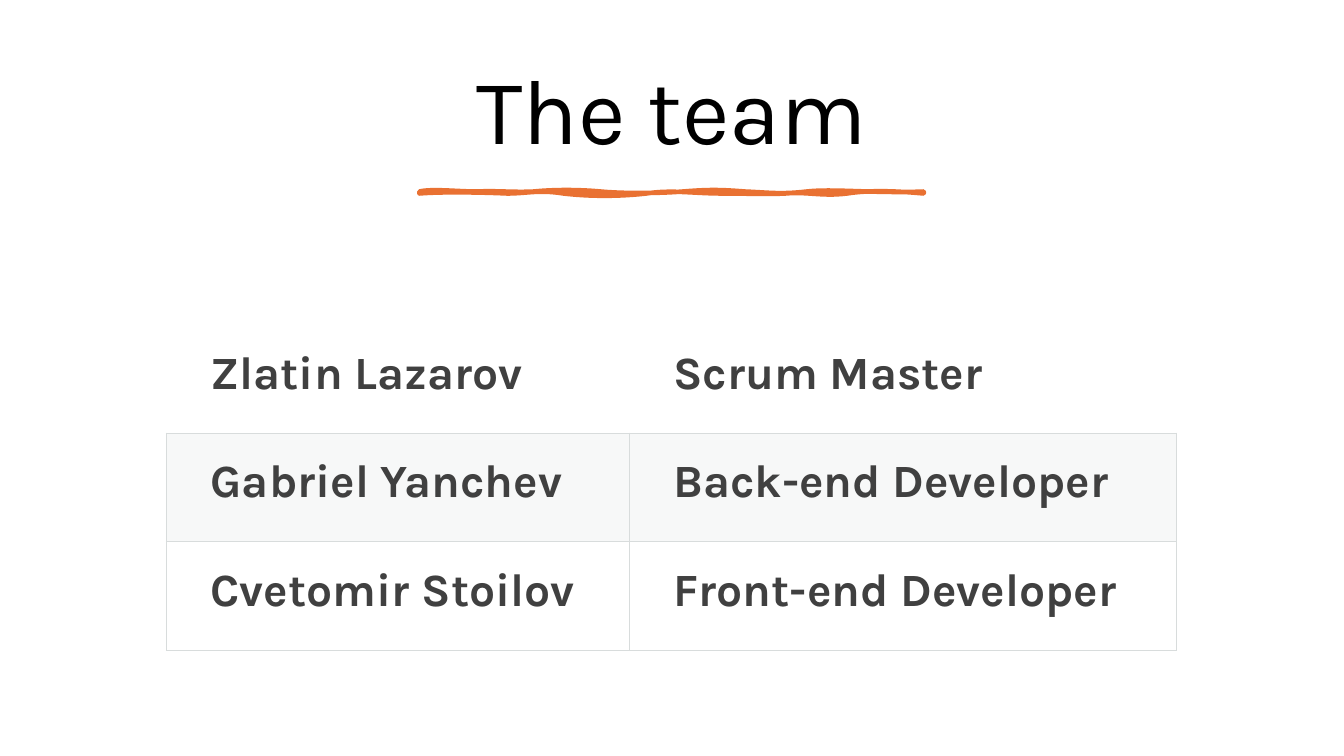
from lxml import etree
from pptx import Presentation
from pptx.dml.color import RGBColor
from pptx.enum.text import MSO_ANCHOR, PP_ALIGN
from pptx.oxml.ns import qn
from pptx.util import Inches, Pt

BLACK = RGBColor(0x00, 0x00, 0x00)
ORANGE = RGBColor(0xE9, 0x71, 0x32)
DARK_GRAY = RGBColor(0x40, 0x40, 0x40)
PALE_GRAY = RGBColor(0xF7, 0xF8, 0xF8)
BORDER_GRAY = RGBColor(0xD8, 0xDC, 0xDC)
FONT = "Karla"


def bend_segments(shape):
    """Turn every three line segments into one cubic curve."""
    segments = list(shape._element.iter(qn("a:lnTo")))
    for first in range(0, len(segments), 3):
        curve = etree.Element(qn("a:cubicBezTo"))
        segments[first].addprevious(curve)
        for segment in segments[first:first + 3]:
            curve.append(segment[0])
            segment.getparent().remove(segment)


def add_border(cell, side):
    properties = cell._tc.get_or_add_tcPr()
    line = etree.SubElement(properties, qn(f"a:ln{side}"), w=str(Pt(0.75)))
    fill = etree.SubElement(line, qn("a:solidFill"))
    etree.SubElement(fill, qn("a:srgbClr"), val=str(BORDER_GRAY))


presentation = Presentation()
presentation.slide_width = Inches(13.33)
presentation.slide_height = Inches(7.5)
slide = presentation.slides.add_slide(presentation.slide_layouts[6])

# Title
title = slide.shapes.add_textbox(Inches(0.7), Inches(0.45), Inches(11.93), Inches(1.37))
title.text_frame.word_wrap = True
title.text_frame.vertical_anchor = MSO_ANCHOR.MIDDLE
paragraph = title.text_frame.paragraphs[0]
paragraph.text = "The team"
paragraph.alignment = PP_ALIGN.CENTER
paragraph.line_spacing = 0.9
paragraph.font.name = FONT
paragraph.font.size = Pt(66)
paragraph.font.color.rgb = BLACK

# Hand-drawn underline: two control points and an end point per curve,
# along the top, then back along the bottom
underline_curves = [
    (4.28, 1.87, 4.54, 1.9, 4.73, 1.9),
    (4.92, 1.89, 5.09, 1.91, 5.29, 1.9),
    (5.49, 1.88, 5.74, 1.88, 5.96, 1.9),
    (6.17, 1.92, 6.53, 1.92, 6.77, 1.9),
    (7.02, 1.88, 7.14, 1.88, 7.39, 1.9),
    (7.63, 1.91, 7.74, 1.93, 8, 1.9),
    (8.26, 1.87, 8.67, 1.92, 9.16, 1.9),
    (9.17, 1.91, 9.16, 1.91, 9.16, 1.92),
    (8.95, 1.9, 8.65, 1.88, 8.4, 1.92),
    (8.15, 1.95, 8.01, 1.9, 7.79, 1.92),
    (7.56, 1.93, 7.47, 1.92, 7.17, 1.92),
    (6.87, 1.92, 6.67, 1.88, 6.41, 1.92),
    (6.14, 1.95, 5.85, 1.95, 5.59, 1.92),
    (5.34, 1.88, 5.23, 1.92, 5.03, 1.92),
    (4.83, 1.91, 4.38, 1.9, 4.16, 1.92),
    (4.16, 1.91, 4.16, 1.9, 4.16, 1.9),
]
builder = slide.shapes.build_freeform(Inches(4.16), Inches(1.9))
for curve in underline_curves:
    builder.add_line_segments(
        [(Inches(x), Inches(y)) for x, y in zip(curve[::2], curve[1::2])], close=False)
underline = builder.convert_to_shape()
bend_segments(underline)
underline.shadow.inherit = False
underline.fill.solid()
underline.fill.fore_color.rgb = ORANGE
underline.line.color.rgb = ORANGE
underline.line.width = Pt(3.25)

# Team table
team = [
    ("Zlatin Lazarov", "Scrum Master"),
    ("Gabriel Yanchev", "Back-end Developer"),
    ("Cvetomir Stoilov", "Front-end Developer"),
]
table = slide.shapes.add_table(
    len(team), 2, Inches(1.65), Inches(3.22), Inches(10.02), Inches(3.23)).table
table.first_row = False
table.horz_banding = False
table.columns[0].width = Inches(4.59)
table.columns[1].width = Inches(5.43)

for row_index, member in enumerate(team):
    for column_index, text in enumerate(member):
        cell = table.cell(row_index, column_index)
        cell.margin_left = Inches(0.44)
        cell.margin_right = cell.margin_top = cell.margin_bottom = Inches(0.22)
        for side in "B" if row_index == 0 else "LRTB":
            add_border(cell, side)
        if row_index == 1:
            cell.fill.solid()
            cell.fill.fore_color.rgb = PALE_GRAY
        else:
            cell.fill.background()
        paragraph = cell.text_frame.paragraphs[0]
        paragraph.text = text
        paragraph.font.name = FONT
        paragraph.font.size = Pt(33)
        paragraph.font.bold = True
        paragraph.font.color.rgb = DARK_GRAY

presentation.save("out.pptx")
